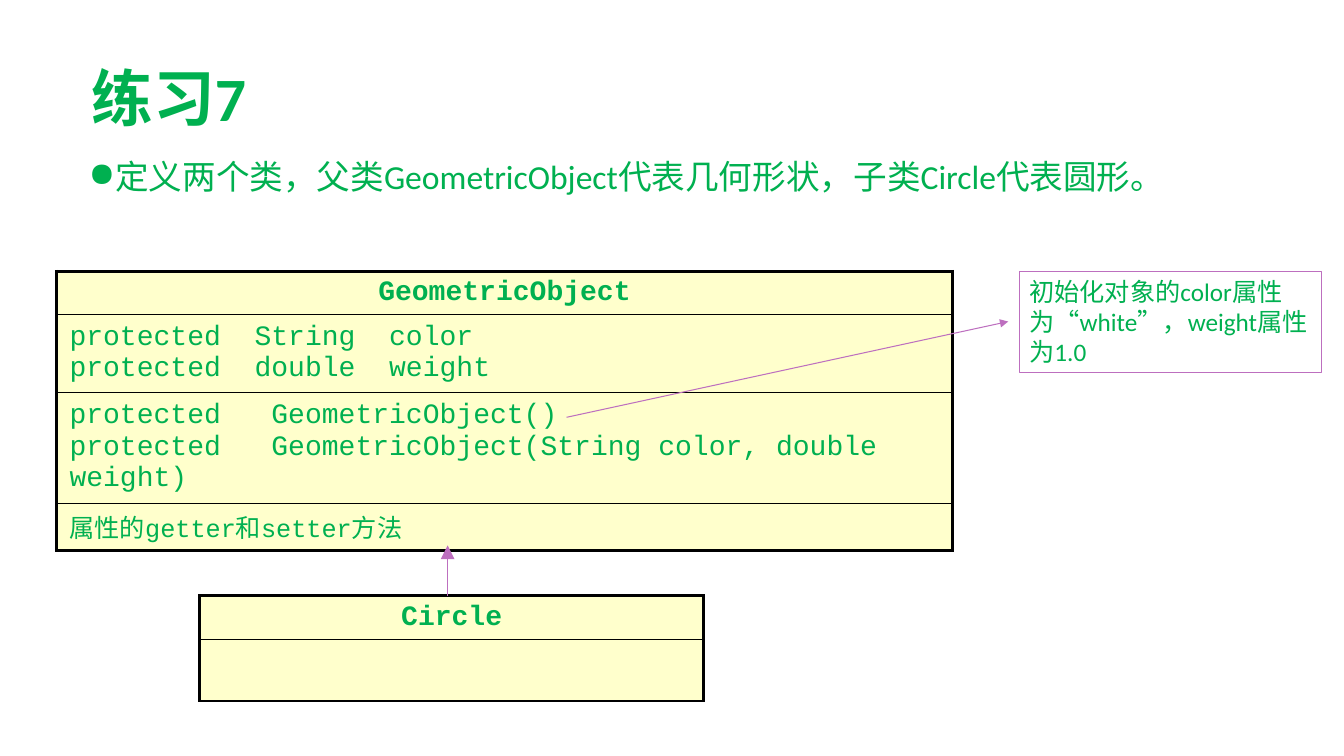
from lxml.etree import SubElement
from pptx import Presentation
from pptx.dml.color import RGBColor
from pptx.enum.shapes import MSO_CONNECTOR, MSO_SHAPE
from pptx.enum.text import MSO_ANCHOR, PP_ALIGN
from pptx.oxml import parse_xml
from pptx.oxml.ns import nsdecls, qn
from pptx.util import Inches, Pt

GREEN = RGBColor(0x00, 0xB0, 0x50)
CREAM = RGBColor(0xFF, 0xFF, 0xCC)
PURPLE = RGBColor(0xBD, 0x6F, 0xBF)
BODY_FONT, CODE_FONT = "Calibri", "Courier New"
OUTER_BORDER, INNER_BORDER = 2.25, 1

TITLE = "练习7"
TASK = "定义两个类，父类GeometricObject代表几何形状，子类Circle代表圆形。"
NOTE = "初始化对象的color属性为“white”，weight属性为1.0"

# Each class: left, top, width and its compartments (text, height, font size)
CLASSES = [
    (0.56, 2.69, 8.89, [
        ("GeometricObject", 0.41, 20),
        ("protected  String  color\nprotected  double  weight", 0.73, 20),
        ("protected   GeometricObject()\n"
         "protected   GeometricObject(String color, double weight)", 1.04, 20),
        ("属性的getter和setter方法", 0.47, 18),
    ]),
    (1.98, 5.91, 5, [
        ("Circle", 0.41, 20),
        ("", 0.61, 20),
    ]),
]

# Each arrow: start, end, head size
ARROWS = [
    ((4.44, 5.91), (4.44, 5.41), "lg"),
    ((5.62, 4.14), (10, 3.19), "med"),
]


def format_text(text_frame, font_name, size, bold=False, line_spacing=None):
    for paragraph in text_frame.paragraphs:
        paragraph.line_spacing = line_spacing
        for run in paragraph.runs:
            run.font.name = font_name
            run.font.size = Pt(size)
            run.font.bold = bold
            run.font.color.rgb = GREEN


def add_text(slide, text, box, size, anchor, bold=False):
    shape = slide.shapes.add_textbox(*map(Inches, box))
    text_frame = shape.text_frame
    text_frame.word_wrap = True
    text_frame.vertical_anchor = anchor
    text_frame.text = text
    format_text(text_frame, BODY_FONT, size, bold, 0.9)
    return text_frame.paragraphs[0]


def add_bullet(paragraph):
    properties = paragraph._p.get_or_add_pPr()
    properties.set("marL", str(Inches(0.25)))
    properties.set("indent", str(-Inches(0.25)))
    SubElement(properties, qn("a:buChar"), char="●")


def set_borders(cell, top, bottom):
    widths = {"L": OUTER_BORDER, "R": OUTER_BORDER, "T": top, "B": bottom}
    properties = cell._tc.get_or_add_tcPr()
    for index, (side, width) in enumerate(widths.items()):
        properties.insert(index, parse_xml(
            f'<a:ln{side} {nsdecls("a")} w="{Pt(width)}"><a:solidFill>'
            f'<a:srgbClr val="000000"/></a:solidFill></a:ln{side}>'))


def add_class(slide, left, top, width, compartments):
    total = sum(height for _, height, _ in compartments)
    table = slide.shapes.add_table(
        len(compartments), 1, *map(Inches, (left, top, width, total))).table
    table.first_row = table.horz_banding = False
    last = len(compartments) - 1
    for index, (text, height, size) in enumerate(compartments):
        table.rows[index].height = Inches(height)
        cell = table.cell(index, 0)
        cell.fill.solid()
        cell.fill.fore_color.rgb = CREAM
        cell.margin_left = cell.margin_right = Inches(0.13)
        cell.vertical_anchor = MSO_ANCHOR.MIDDLE
        cell.text_frame.text = text
        format_text(cell.text_frame, CODE_FONT, size, bold=index == 0)
        if index == 0:
            cell.text_frame.paragraphs[0].alignment = PP_ALIGN.CENTER
        set_borders(cell,
                    OUTER_BORDER if index == 0 else INNER_BORDER,
                    OUTER_BORDER if index == last else INNER_BORDER)


def add_note(slide):
    shape = slide.shapes.add_shape(
        MSO_SHAPE.RECTANGLE, *map(Inches, (10.11, 2.69, 3, 1.01)))
    shape.shadow.inherit = False
    shape.fill.background()
    shape.line.color.rgb = PURPLE
    shape.line.width = Pt(0.75)
    text_frame = shape.text_frame
    text_frame.word_wrap = True
    text_frame.vertical_anchor = MSO_ANCHOR.TOP
    text_frame.text = NOTE
    text_frame.paragraphs[0].alignment = PP_ALIGN.LEFT
    format_text(text_frame, BODY_FONT, 18)


def add_arrow(slide, start, end, head_size):
    connector = slide.shapes.add_connector(
        MSO_CONNECTOR.STRAIGHT, *map(Inches, start + end))
    connector.line.color.rgb = PURPLE
    connector.line.width = Pt(0.75)
    SubElement(connector.line._get_or_add_ln(), qn("a:tailEnd"),
               type="triangle", w=head_size, len=head_size)
    SubElement(connector._element.spPr, qn("a:effectLst"))


def main():
    presentation = Presentation()
    presentation.slide_width = Inches(13.33)
    presentation.slide_height = Inches(7.5)
    slide = presentation.slides.add_slide(presentation.slide_layouts[6])
    add_text(slide, TITLE, (0.81, 0.58, 5.07, 0.85), 44, MSO_ANCHOR.MIDDLE, bold=True)
    task = add_text(slide, TASK, (0.78, 1.54, 11.33, 1.08), 24, MSO_ANCHOR.TOP)
    add_bullet(task)
    for class_box in CLASSES:
        add_class(slide, *class_box)
    add_note(slide)
    for arrow in ARROWS:
        add_arrow(slide, *arrow)
    presentation.save("out.pptx")


if __name__ == "__main__":
    main()
